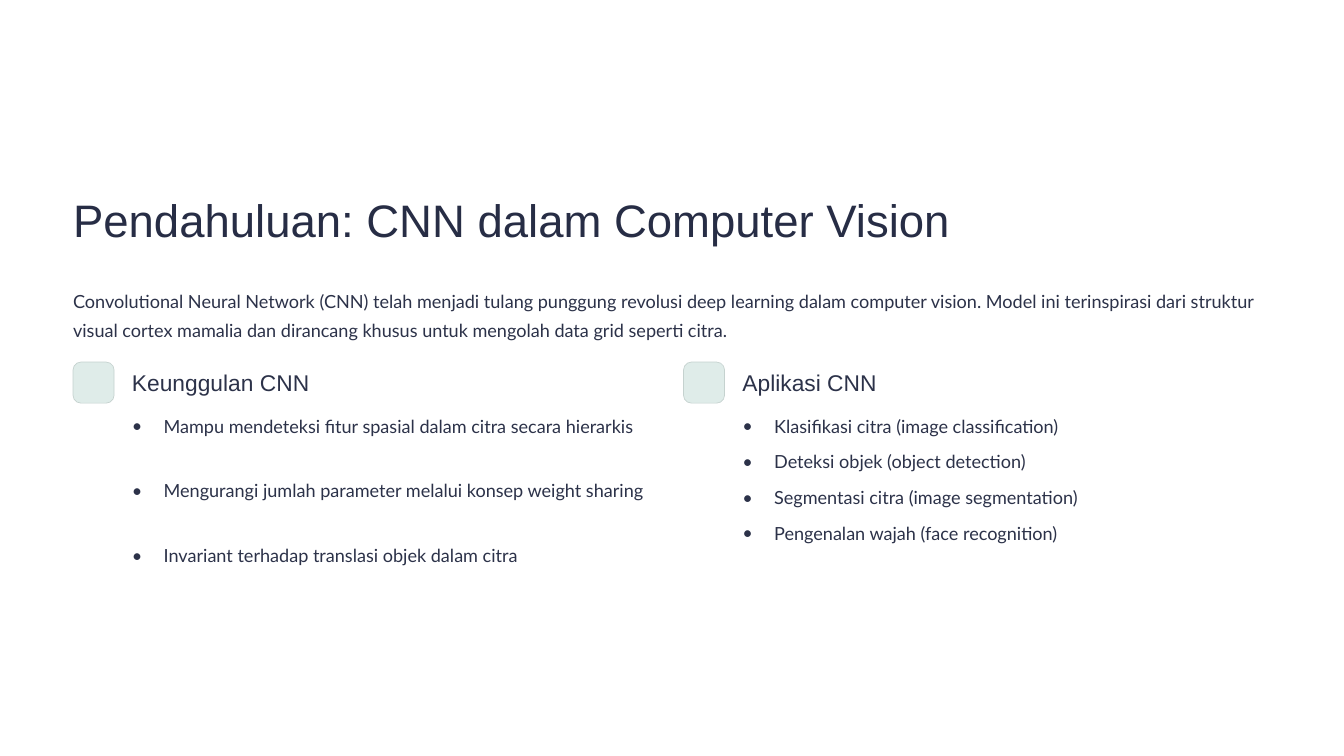
from pptx import Presentation
from pptx.dml.color import RGBColor as RGB
from pptx.enum.shapes import MSO_SHAPE as SHAPE
from pptx.oxml.ns import qn
from pptx.util import Cm, Pt
from lxml.etree import SubElement

TITLE = "Pendahuluan: CNN dalam Computer Vision"
INTRO = (
    "Convolutional Neural Network (CNN) telah menjadi tulang punggung revolusi "
    "deep learning dalam computer vision. Model ini terinspirasi dari struktur "
    "visual cortex mamalia dan dirancang khusus untuk mengolah data grid seperti citra."
)
# heading, points between bullets, bullets
COLUMNS = [
    ("Keunggulan CNN", 30.4, [
        "Mampu mendeteksi fitur spasial dalam citra secara hierarkis",
        "Mengurangi jumlah parameter melalui konsep weight sharing",
        "Invariant terhadap translasi objek dalam citra",
    ]),
    ("Aplikasi CNN", 5.5, [
        "Klasifikasi citra (image classification)",
        "Deteksi objek (object detection)",
        "Segmentasi citra (image segmentation)",
        "Pengenalan wajah (face recognition)",
    ]),
]

COLORS = {"page": "FFFFFF", "title": "272D45", "text": "2C3249",
          "tile": "DFECE9", "edge": "C5D2CF"}
STYLES = {
    "title": {"name": "Arial", "size": Pt(39), "color": "title", "line": Pt(48.5)},
    "heading": {"name": "Arial", "size": Pt(19.5), "color": "text", "line": Pt(24)},
    "body": {"name": "Lato", "size": Pt(15.5), "color": "text", "line": Pt(25)},
}

# lengths in cm
LEFT = 2.21
COLUMN_STEP = 18.46
TILE_TOP, TILE_SIZE = 10.95, 1.24
TEXT_OFFSET = 1.78
HEADING_TOP, LIST_TOP = 11.13, 12.33
LIST_WIDTH = 15.98
BULLET_INDENT = 0.96
PT_PER_CM = 72 / 2.54


def rgb(key):
    return RGB.from_string(COLORS[key])


def add_bullet(p):
    pPr = p._p.get_or_add_pPr()
    pPr.set("marL", str(Cm(BULLET_INDENT)))
    pPr.set("indent", str(-Cm(BULLET_INDENT)))
    SubElement(pPr, qn("a:buSzPct")).set("val", "100000")
    SubElement(pPr, qn("a:buFont")).set("typeface", "Lato")
    SubElement(pPr, qn("a:buChar")).set("char", "•")


def add_text(slide, box, lines, style, wrap=True, bullets=False, gap=0):
    """Add a text box with one paragraph per line, gap points apart."""
    fmt = STYLES[style]
    tf = slide.shapes.add_textbox(*map(Cm, box)).text_frame
    tf.word_wrap = wrap
    for side in ("left", "top", "right", "bottom"):
        setattr(tf, f"margin_{side}", 0)
    for i, line in enumerate(lines):
        p = tf.add_paragraph() if i else tf.paragraphs[0]
        if bullets:
            add_bullet(p)
        p.line_spacing = fmt["line"]
        if i:
            p.space_before = Pt(gap)
        r = p.add_run()
        r.text = line
        for key in ("name", "size"):
            setattr(r.font, key, fmt[key])
        r.font.color.rgb = rgb(fmt["color"])


def add_tile(slide, x):
    sp = slide.shapes.add_shape(
        SHAPE.ROUNDED_RECTANGLE, *map(Cm, (x, TILE_TOP, TILE_SIZE, TILE_SIZE)))
    sp.adjustments[0] = 0.19
    sp.shadow.inherit = False
    sp.fill.solid()
    sp.fill.fore_color.rgb = rgb("tile")
    sp.line.color.rgb = rgb("edge")
    sp.line.width = Pt(0.6)


def add_column(slide, x, heading, gap, bullets):
    add_tile(slide, x)
    text_x = x + TEXT_OFFSET
    add_text(slide, (text_x, HEADING_TOP, 6.88, 0.86), [heading], "heading", wrap=False)
    n = len(bullets)
    height = (n * STYLES["body"]["line"].pt + (n - 1) * gap) / PT_PER_CM
    add_text(slide, (text_x, LIST_TOP, LIST_WIDTH, height), bullets, "body",
             bullets=True, gap=gap)


def main():
    prs = Presentation()
    prs.slide_width, prs.slide_height = Cm(40.64), Cm(22.86)
    slide = prs.slides.add_slide(prs.slide_layouts[6])
    slide.background.fill.solid()
    slide.background.fill.fore_color.rgb = rgb("page")

    add_text(slide, (LEFT, 5.74, 27.5, 1.73), [TITLE], "title")
    add_text(slide, (LEFT, 8.56, 36.22, 1.75), [INTRO], "body")
    for i, column in enumerate(COLUMNS):
        add_column(slide, LEFT + i * COLUMN_STEP, *column)

    prs.save("out.pptx")


if __name__ == "__main__":
    main()
